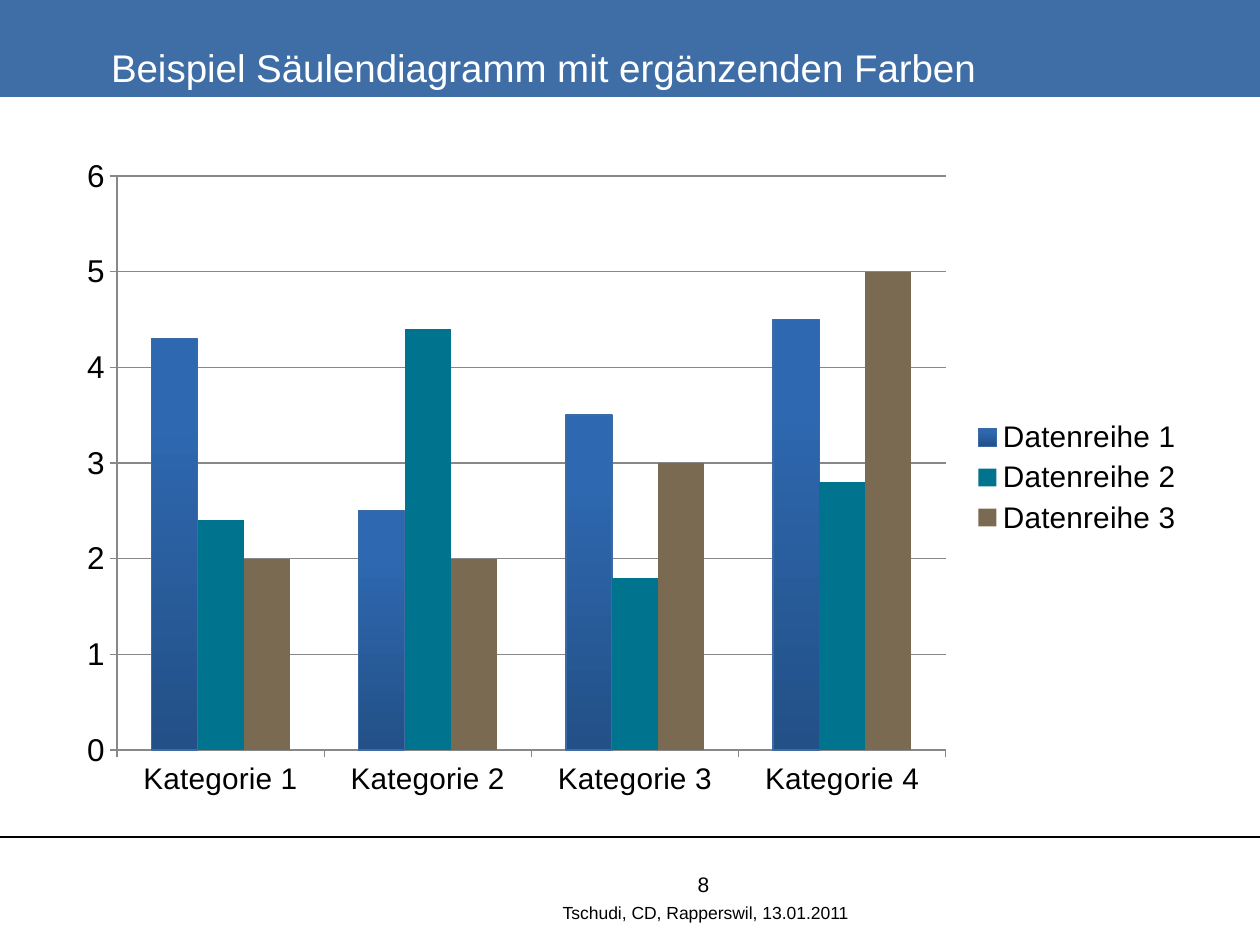
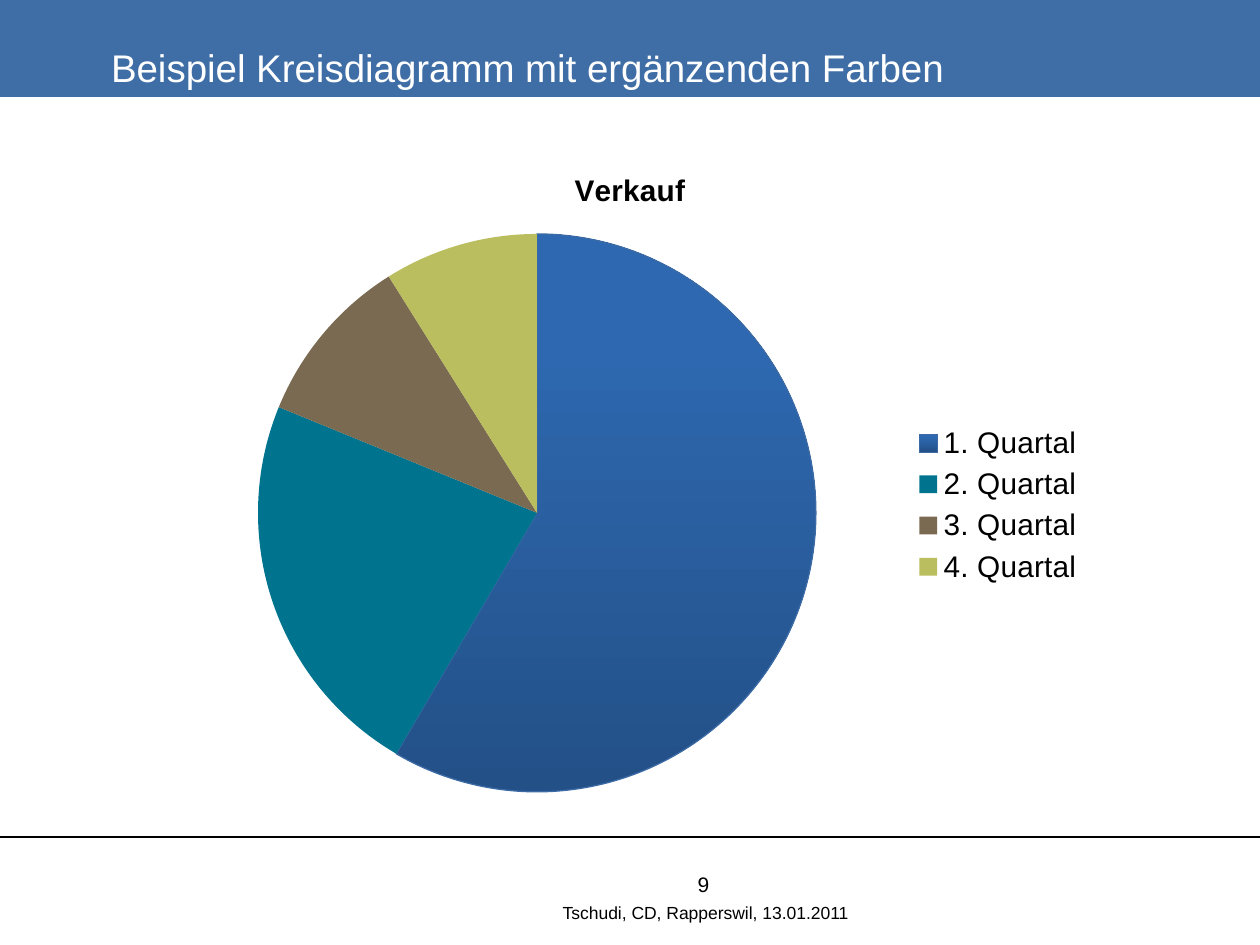
from dataclasses import dataclass
from typing import NamedTuple, Optional

from lxml.etree import SubElement
from pptx import Presentation
from pptx.chart.data import CategoryChartData
from pptx.dml.color import RGBColor
from pptx.enum.chart import XL_CHART_TYPE as ChartType
from pptx.enum.chart import XL_LEGEND_POSITION as LegendPosition
from pptx.enum.chart import XL_TICK_MARK as TickMark
from pptx.enum.shapes import MSO_CONNECTOR as Connector
from pptx.enum.text import MSO_ANCHOR as Anchor
from pptx.enum.text import MSO_AUTO_SIZE as AutoSize
from pptx.enum.text import PP_ALIGN as Align
from pptx.oxml.ns import qn
from pptx.util import Emu, Pt


class Box(NamedTuple):
    left: int
    top: int
    width: int
    height: int


@dataclass
class ChartPage:
    title: str
    number: int
    kind: ChartType
    categories: list[str]
    series: dict[str, list[float]]
    plot_area: Box
    legend_area: Optional[Box] = None


# Shared look
FONT = "Arial"
BLACK, WHITE, BAND_BLUE, GREY = "000000", "FFFFFF", "3F6DA6", "888888"
BLUE_EDGE = "3B6AA5"
BLUE_STOPS = [(0, "235087"), (0.8, "2E68B0"), (1, "2C68B3")]
ACCENTS = ["00748E", "7A6A51", "BABE5E"]
FOOTER = "Tschudi, CD, Rapperswil, 13.01.2011"

# Shared places, in pixels
PAGE = Box(0, 0, 1260, 945)
BAND = Box(0, 0, 1260, 97)
CHART = Box(64, 145, 1132, 665)
NUMBER = Box(422, 876, 563, 16)
FOOTER_BOX = Box(422, 895, 567, 35)
RULE_Y = 837

PAGES = [
    ChartPage(
        "Beispiel Säulendiagramm mit ergänzenden Farben", 8,
        ChartType.COLUMN_CLUSTERED,
        [f"Kategorie {n}" for n in range(1, 5)],
        {"Datenreihe 1": [4.3, 2.5, 3.5, 4.5],
         "Datenreihe 2": [2.4, 4.4, 1.8, 2.8],
         "Datenreihe 3": [2, 2, 3, 5]},
        Box(117, 176, 829, 574)),
    ChartPage(
        "Beispiel Kreisdiagramm mit ergänzenden Farben", 9,
        ChartType.PIE,
        [f"{n}. Quartal" for n in range(1, 5)],
        {"Verkauf": [59, 23, 10, 9]},
        Box(258, 234, 558, 558),
        Box(912, 419, 172, 172)),
]


def px(pixels: int) -> Emu:
    return Emu(round(pixels * 914400 / 126))


def color(value: str) -> RGBColor:
    return RGBColor.from_string(value)


def style(font, size: float, value: str = BLACK, bold: bool = False) -> None:
    font.name, font.size, font.bold = FONT, Pt(size), bold
    font.color.rgb = color(value)


def set_line(line, value: str) -> None:
    line.color.rgb = color(value)
    line.width = Pt(0.75)


# Title band, rule and footer
def add_title(page, text: str) -> None:
    title = page.shapes.title
    title.left, title.top, title.width, title.height = map(px, BAND)
    title.fill.solid()
    title.fill.fore_color.rgb = color(BAND_BLUE)
    frame = title.text_frame
    frame.text = text
    frame.auto_size, frame.word_wrap = AutoSize.NONE, True
    frame.vertical_anchor = Anchor.MIDDLE
    frame.margin_left = frame.margin_right = px(13)
    frame.margin_top, frame.margin_bottom = px(44), px(6)
    para = frame.paragraphs[0]
    para.alignment = Align.LEFT
    properties = para._p.get_or_add_pPr()
    properties.set("marL", str(px(98)))
    properties.set("indent", "0")
    style(para.runs[0].font, 22, WHITE)


def add_centered_text(page, box: Box, text: str, size: float) -> None:
    frame = page.shapes.add_textbox(*map(px, box)).text_frame
    frame.text = text
    frame.word_wrap = True
    frame.vertical_anchor = Anchor.MIDDLE
    para = frame.paragraphs[0]
    para.alignment = Align.CENTER
    style(para.runs[0].font, size)


def add_rule(page) -> None:
    rule = page.shapes.add_connector(
        Connector.STRAIGHT, px(-5), px(RULE_Y), px(PAGE.width), px(RULE_Y))
    set_line(rule.line, BLACK)
    SubElement(rule._element.spPr, qn("a:effectLst"))


# Charts
def place_part(parent, box: Box, index: int, inner: bool = False) -> None:
    """Fix the place of a plot area or legend inside its chart."""
    for old in parent.findall(qn("c:layout")):
        parent.remove(old)
    layout = SubElement(parent, qn("c:layout"))
    parent.insert(index, layout)
    manual = SubElement(layout, qn("c:manualLayout"))
    settings = {"layoutTarget": "inner"} if inner else {}
    settings |= {
        "xMode": "edge", "yMode": "edge",
        "x": round((box.left - CHART.left) / CHART.width, 4),
        "y": round((box.top - CHART.top) / CHART.height, 4),
        "w": round(box.width / CHART.width, 4),
        "h": round(box.height / CHART.height, 4)}
    for name, value in settings.items():
        SubElement(manual, qn(f"c:{name}")).set("val", str(value))


def fill_blue(chart, part) -> None:
    fill = part.format.fill
    fill.gradient()
    fill.gradient_angle = 90
    stop_list = next(chart.element.iter(qn("a:gsLst")))
    while len(stop_list) < len(BLUE_STOPS):
        SubElement(stop_list, qn("a:gs")).set("pos", "0")
    for stop, (position, value) in zip(fill.gradient_stops, BLUE_STOPS):
        stop.position = position
        stop.color.rgb = color(value)
    set_line(part.format.line, BLUE_EDGE)


def fill_parts(chart, parts) -> None:
    fill_blue(chart, parts[0])
    for part, accent in zip(parts[1:], ACCENTS):
        part.format.fill.solid()
        part.format.fill.fore_color.rgb = color(accent)


def style_columns(chart) -> None:
    plot = chart.plots[0]
    plot.vary_by_categories = False
    plot.gap_width, plot.overlap = 150, 0
    chart.has_title = False
    values = chart.value_axis
    values.minimum_scale, values.maximum_scale, values.major_unit = 0, 6, 1
    values.has_major_gridlines = True
    set_line(values.major_gridlines.format.line, GREY)
    for axis, size in ((values, 18), (chart.category_axis, 17)):
        axis.major_tick_mark = TickMark.OUTSIDE
        set_line(axis.format.line, GREY)
        style(axis.tick_labels.font, size)
    fill_parts(chart, list(plot.series))


def style_pie(chart, title: str, count: int) -> None:
    plot = chart.plots[0]
    plot.vary_by_categories = True
    chart.has_title = True
    frame = chart.chart_title.text_frame
    frame.text = title
    style(frame.paragraphs[0].runs[0].font, 17, bold=True)
    fill_parts(chart, [plot.series[0].points[i] for i in range(count)])


def add_chart(page, content: ChartPage) -> None:
    data = CategoryChartData()
    data.categories = content.categories
    for name, values in content.series.items():
        data.add_series(name, values)
    chart = page.shapes.add_chart(content.kind, *map(px, CHART), data).chart
    style(chart.font, 18)
    chart.has_legend = True
    legend = chart.legend
    legend.position = LegendPosition.RIGHT
    legend.include_in_layout = False
    style(legend.font, 17)
    if content.kind == ChartType.PIE:
        style_pie(chart, next(iter(content.series)), len(content.categories))
    else:
        style_columns(chart)
    place_part(next(chart.element.iter(qn("c:plotArea"))),
               content.plot_area, 0, inner=True)
    if content.legend_area:
        place_part(next(chart.element.iter(qn("c:legend"))),
                   content.legend_area, 1)


# Slides
deck = Presentation()
deck.slide_width, deck.slide_height = px(PAGE.width), px(PAGE.height)
title_only = deck.slide_layouts[5]
for content in PAGES:
    page = deck.slides.add_slide(title_only)
    add_rule(page)
    add_title(page, content.title)
    add_centered_text(page, FOOTER_BOX, FOOTER, 10)
    add_centered_text(page, NUMBER, str(content.number), 12)
    add_chart(page, content)
deck.save("out.pptx")
